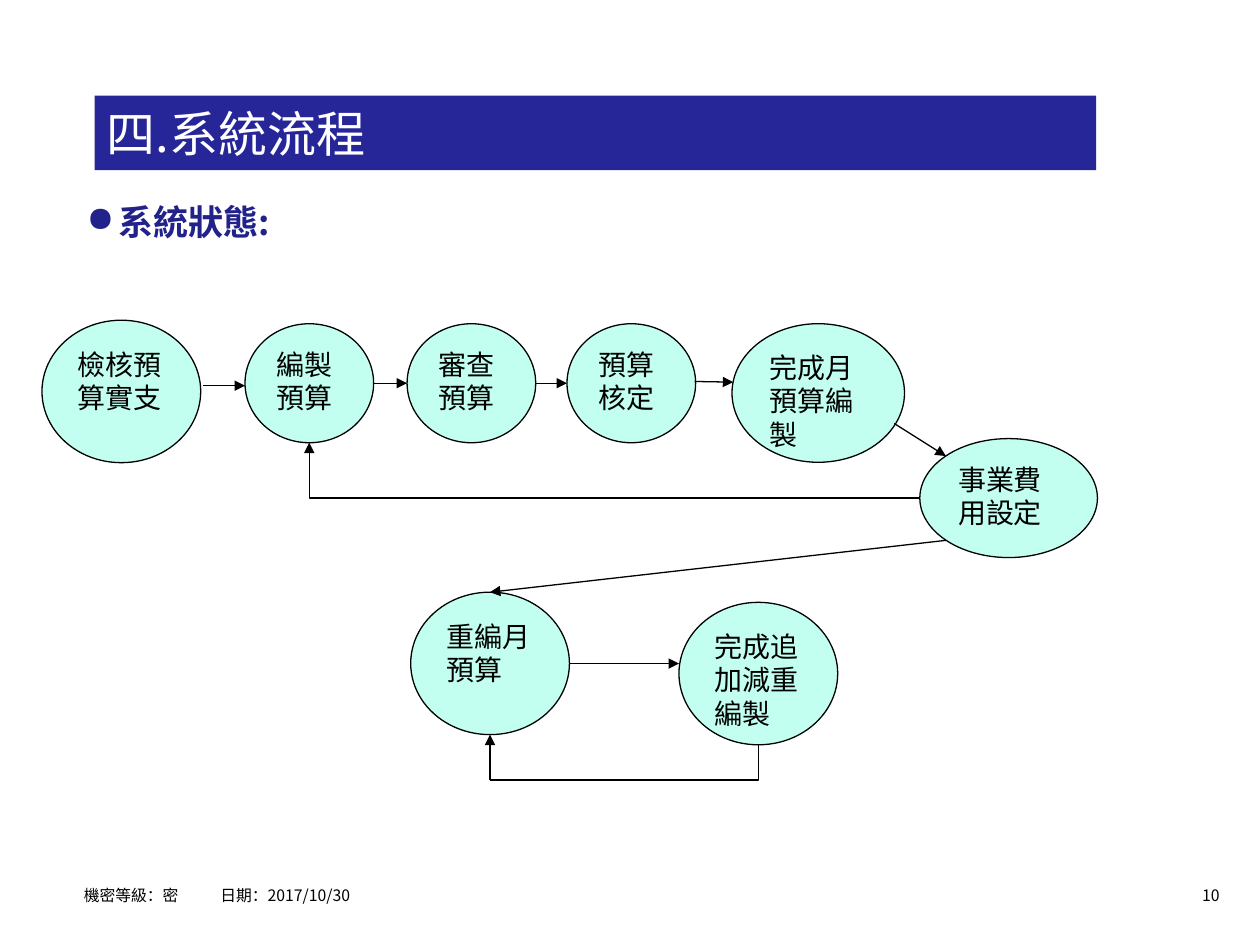
from dataclasses import dataclass
from typing import NamedTuple

from lxml.etree import SubElement
from pptx import Presentation
from pptx.dml.color import RGBColor
from pptx.enum.shapes import MSO_CONNECTOR as Link, MSO_SHAPE as Form
from pptx.enum.text import MSO_ANCHOR as Anchor, PP_ALIGN as Align
from pptx.oxml.ns import qn
from pptx.util import Pt


@dataclass(frozen=True)
class Theme:
    font: str = "Noto Sans CJK SC"
    navy: str = "262699"
    heading: str = "22228B"
    mint: str = "C2FFF0"
    ink: str = "000000"
    white: str = "FFFFFF"
    title_size: float = 28
    heading_size: float = 20
    state_size: float = 16
    footer_size: float = 9
    line_width: float = 0.75


class Box(NamedTuple):
    left: float
    top: float
    width: float
    height: float


class State(NamedTuple):
    label: str
    box: Box


class Flow(NamedTuple):
    start: tuple[float, float]
    end: tuple[float, float]
    bent: bool = False
    arrow: bool = True


THEME = Theme()
STEP_TOP, STEP_WIDTH, STEP_HEIGHT = 185, 73.5, 68
LARGE_WIDTH, LARGE_HEIGHT = 90.7, 81.4
STATES = [
    State("檢核預算實支", Box(24, 183, LARGE_WIDTH, LARGE_HEIGHT)),
    *[
        State(label, Box(left, STEP_TOP, STEP_WIDTH, STEP_HEIGHT))
        for label, left in [("編製預算", 140), ("審查預算", 232.6), ("預算核定", 324)]
    ],
    State("完成月預算編製", Box(418.3, STEP_TOP, 98.6, 79.2)),
    State("事業費用設定", Box(525.6, 250.6, 101.5, STEP_HEIGHT)),
    State("重編月預算", Box(234.7, 338.4, LARGE_WIDTH, LARGE_HEIGHT)),
    State("完成追加減重編製", Box(388, 344.2, LARGE_WIDTH, LARGE_HEIGHT)),
]
FLOWS = [
    Flow((116, 220.4), (140, 220.4)),
    Flow((213.5, 219), (232.6, 219)),
    Flow((306.1, 219), (324, 219)),
    Flow((397, 218), (419, 218.4)),
    Flow((511, 242), (540.5, 260.6)),
    Flow((525.6, 284.6), (176.75, 253), bent=True),
    Flow((540.5, 308.8), (280, 338.4)),
    Flow((325.4, 379.2), (388, 379.2)),
    Flow((280, 445.7), (433.4, 425.6), bent=True, arrow=False),
    Flow((280, 445.7), (280, 419.8)),
]


def points(values) -> list:
    """Convert numbers to point lengths."""
    return [Pt(value) for value in values]


def write(shape, text: str, size: float, color: str, anchor=Anchor.TOP, **font_format):
    """Write one left-aligned paragraph in a shape and return it."""
    frame = shape.text_frame
    frame_format = {
        "word_wrap": True,
        "vertical_anchor": anchor,
        "margin_left": Pt(7.2),
        "margin_right": Pt(7.2),
        "margin_top": Pt(3.6),
        "margin_bottom": Pt(3.6),
    }
    for name, value in frame_format.items():
        setattr(frame, name, value)
    para = frame.paragraphs[0]
    para.alignment = Align.LEFT
    span = para.add_run()
    span.text = text
    for name, value in {"size": Pt(size), "name": THEME.font, **font_format}.items():
        setattr(span.font, name, value)
    span.font.color.rgb = RGBColor.from_string(color)
    SubElement(span.font._element, qn("a:ea"), typeface=THEME.font)
    return para


def add_text(page, box: Box, text: str, size: float, color: str, **font_format):
    """Add a text box and return its frame and paragraph."""
    shape = page.shapes.add_textbox(*points(box))
    para = write(shape, text, size, color, **font_format)
    return shape.text_frame, para


def add_block(page, form: Form, box: Box, fill: str, line: str | None = None):
    """Add a filled preset shape with an optional outline."""
    shape = page.shapes.add_shape(form, *points(box))
    shape.shadow.inherit = False
    shape.fill.solid()
    shape.fill.fore_color.rgb = RGBColor.from_string(fill)
    if line:
        shape.line.color.rgb = RGBColor.from_string(line)
        shape.line.width = Pt(THEME.line_width)
    else:
        shape.line.fill.background()
    return shape


def add_state(page, state: State) -> None:
    """Draw one system state as an ellipse."""
    shape = add_block(page, Form.OVAL, state.box, THEME.mint, THEME.ink)
    write(shape, state.label, THEME.state_size, THEME.ink)


def add_flow(page, flow: Flow) -> None:
    """Draw one transition between states."""
    kind = Link.ELBOW if flow.bent else Link.STRAIGHT
    link = page.shapes.add_connector(kind, *points(flow.start + flow.end))
    link.line.color.rgb = RGBColor.from_string(THEME.ink)
    link.line.width = Pt(THEME.line_width)
    properties = link._element.spPr
    if flow.bent:
        properties.find(qn("a:prstGeom")).set("prst", "bentConnector2")
    if flow.arrow:
        SubElement(properties.find(qn("a:ln")), qn("a:tailEnd"), type="triangle")
    SubElement(properties, qn("a:effectLst"))


def add_heading(page) -> None:
    """Add the bulleted heading above the flow."""
    _, para = add_text(page, Box(42.5, 111, 629, 393), "系統狀態:",
                       THEME.heading_size, THEME.heading, bold=True)
    properties = para._p.get_or_add_pPr()
    for name, value in {"marL": Pt(18), "indent": Pt(-18)}.items():
        properties.set(name, str(value))
    color = SubElement(properties, qn("a:buClr"))
    SubElement(color, qn("a:srgbClr"), val=THEME.heading)
    SubElement(properties, qn("a:buChar"), char="●")


def add_footer(page) -> None:
    """Add the classification, date and page number."""
    frame, para = add_text(page, Box(48, 497, 534, 22), "機密等級：密\t日期：2017/10/30",
                           THEME.footer_size, THEME.ink)
    frame.margin_left = Pt(0)
    para.line_spacing = 1.5
    tabs = SubElement(para._p.get_or_add_pPr(), qn("a:tabLst"))
    SubElement(tabs, qn("a:tab"), pos=str(Pt(78)), algn="l")
    _, number = add_text(page, Box(655, 502.5, 49, 18), "10", THEME.footer_size, THEME.ink)
    number.alignment = Align.RIGHT


def main() -> None:
    """Build the system flow slide."""
    deck = Presentation()
    deck.slide_width, deck.slide_height = points((720, 540))
    page = deck.slides.add_slide(deck.slide_layouts[6])
    add_footer(page)
    title = add_block(page, Form.RECTANGLE, Box(54, 54.7, 572.4, 42.5), THEME.navy)
    write(title, "四.系統流程", THEME.title_size, THEME.white, Anchor.MIDDLE)
    add_heading(page)
    for state in STATES:
        add_state(page, state)
    for flow in FLOWS:
        add_flow(page, flow)
    deck.save("out.pptx")


if __name__ == "__main__":
    main()
